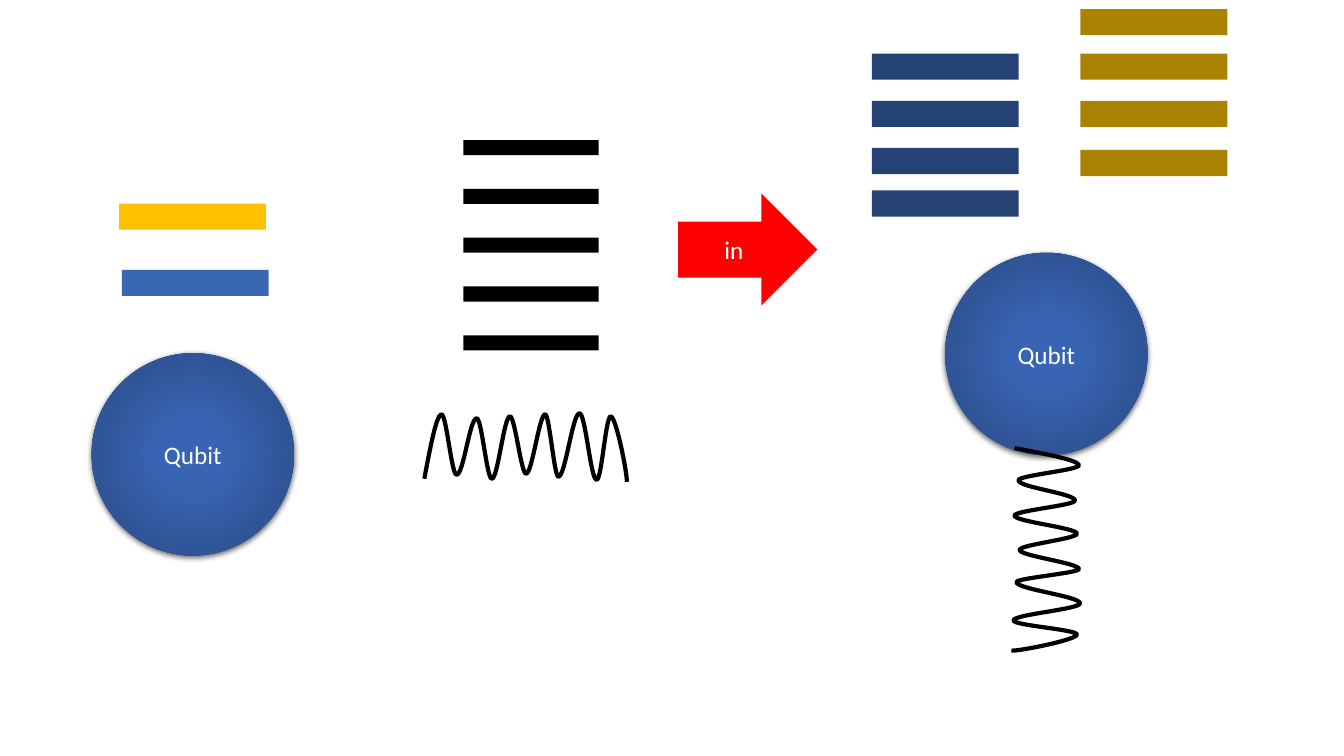
import lxml.etree
import pptx
import pptx.dml.color
import pptx.enum.shapes
import pptx.enum.text
import pptx.oxml
import pptx.oxml.ns
import pptx.util

Cm = pptx.util.Cm
RGBColor = pptx.dml.color.RGBColor
SHAPE = pptx.enum.shapes.MSO_SHAPE
qn = pptx.oxml.ns.qn

BLACK = RGBColor(0x00, 0x00, 0x00)
WHITE = RGBColor(0xFF, 0xFF, 0xFF)
RED = RGBColor(0xFF, 0x00, 0x00)
BLUE = RGBColor(0x3A, 0x67, 0xB2)
GOLD = RGBColor(0xFF, 0xC0, 0x00)
DARK_BLUE = RGBColor(0x24, 0x42, 0x73)
DARK_GOLD = RGBColor(0xAB, 0x83, 0x02)
QUBIT_STOPS = [
    (0, RGBColor(0x38, 0x64, 0xB3)),
    (23, RGBColor(0x38, 0x64, 0xB3)),
    (69, RGBColor(0x2F, 0x55, 0x97)),
    (97, RGBColor(0x2C, 0x4F, 0x8C)),
]
SHADOW = BLACK


def add_block(kind, left, top, width, height, color, text=""):
    sp = s.shapes.add_shape(kind, Cm(left), Cm(top), Cm(width), Cm(height))
    sp.shadow.inherit = False
    sp.fill.solid()
    sp.fill.fore_color.rgb = color
    sp.line.fill.background()
    if text:
        tf = sp.text_frame
        tf.text = text
        tf.vertical_anchor = pptx.enum.text.MSO_ANCHOR.MIDDLE
        p = tf.paragraphs[0]
        p.alignment = pptx.enum.text.PP_ALIGN.CENTER
        font = p.runs[0].font
        font.name = "Calibri"
        font.size = pptx.util.Pt(18)
        font.color.rgb = WHITE
    return sp


def add_spring(points):
    """Draw a curve through a start point and triples of Bezier points."""
    builder = s.shapes.build_freeform(*points[0], scale=Cm(0.0254))
    builder.add_line_segments(points[1:], close=False)
    sp = builder.convert_to_shape()
    sp.shadow.inherit = False
    sp.fill.background()
    sp.line.color.rgb = BLACK
    sp.line.width = pptx.util.Pt(3)
    segments = list(sp.element.iter(qn("a:lnTo")))
    for i in range(0, len(segments), 3):
        curve = lxml.etree.Element(qn("a:cubicBezTo"))
        segments[i].addprevious(curve)
        for segment in segments[i:i + 3]:
            curve.append(segment[0])
            segment.getparent().remove(segment)
    return sp


prs = pptx.Presentation()
prs.slide_width, prs.slide_height = Cm(33.87), Cm(19.05)
s = prs.slides.add_slide(prs.slide_layouts[6])

# Qubits: radial gradient and soft shadow
stops = "".join(
    f'<a:gs pos="{pos * 1000}"><a:srgbClr val="{color}"/></a:gs>'
    for pos, color in QUBIT_STOPS
)
gradient = (
    f'<a:gradFill {pptx.oxml.ns.nsdecls("a")} rotWithShape="1"><a:gsLst>{stops}</a:gsLst>'
    '<a:path path="circle"><a:fillToRect l="50000" t="50000" r="50000" b="50000"/></a:path>'
    "</a:gradFill>"
)
shadow = (
    f'<a:outerShdw {pptx.oxml.ns.nsdecls("a")} blurRad="57150" dist="19050" dir="5400000" '
    f'algn="ctr" rotWithShape="0"><a:srgbClr val="{SHADOW}"><a:alpha val="63000"/></a:srgbClr>'
    "</a:outerShdw>"
)
for left, top in [(2.31, 8.9), (23.82, 6.37)]:
    sp = add_block(SHAPE.OVAL, left, top, 5.1, 5.1, BLUE, "Qubit")
    spPr = sp.element.spPr
    spPr.replace(spPr.find(qn("a:solidFill")), pptx.oxml.parse_xml(gradient))
    spPr.find(qn("a:effectLst")).append(pptx.oxml.parse_xml(shadow))

# Springs: turning points in hundredths of an inch, joined by level tangents
turns = [(438, 411), (453, 471), (473, 415), (488, 475), (506, 413), (522, 470),
         (541, 411), (554, 473), (575, 410), (592, 476), (606, 413)]
wave = [(421, 475), (427, 443), (433, 412), turns[0]]
for (x0, y0), (x1, y1) in zip(turns, turns[1:]):
    third = (x1 - x0) / 3
    wave += [(x0 + third, y0), (x1 - third, y1), (x1, y1)]
wave += [(611, 413), (622, 467), (622, 478)]

add_spring(wave)
sp = add_spring(wave)
sp.left, sp.top, sp.rotation = Cm(23.8), Cm(12.98), 90

# Resonator levels
for i in range(5):
    add_block(SHAPE.RECTANGLE, 11.68, 3.53 + 1.23 * i, 3.41, 0.38, BLACK)

# Qubit levels, alone and coupled
levels = [
    (3.07, [6.8], BLUE),
    (3, [5.13], GOLD),
    (21.97, [1.35, 2.54, 3.73, 4.8], DARK_BLUE),
    (27.23, [0.23, 1.35, 2.54, 3.78], DARK_GOLD),
]
for left, tops, color in levels:
    for top in tops:
        add_block(SHAPE.RECTANGLE, left, top, 3.7, 0.66, color)

add_block(SHAPE.RIGHT_ARROW, 17.09, 4.88, 3.51, 2.82, RED, "in")

prs.save("out.pptx")
